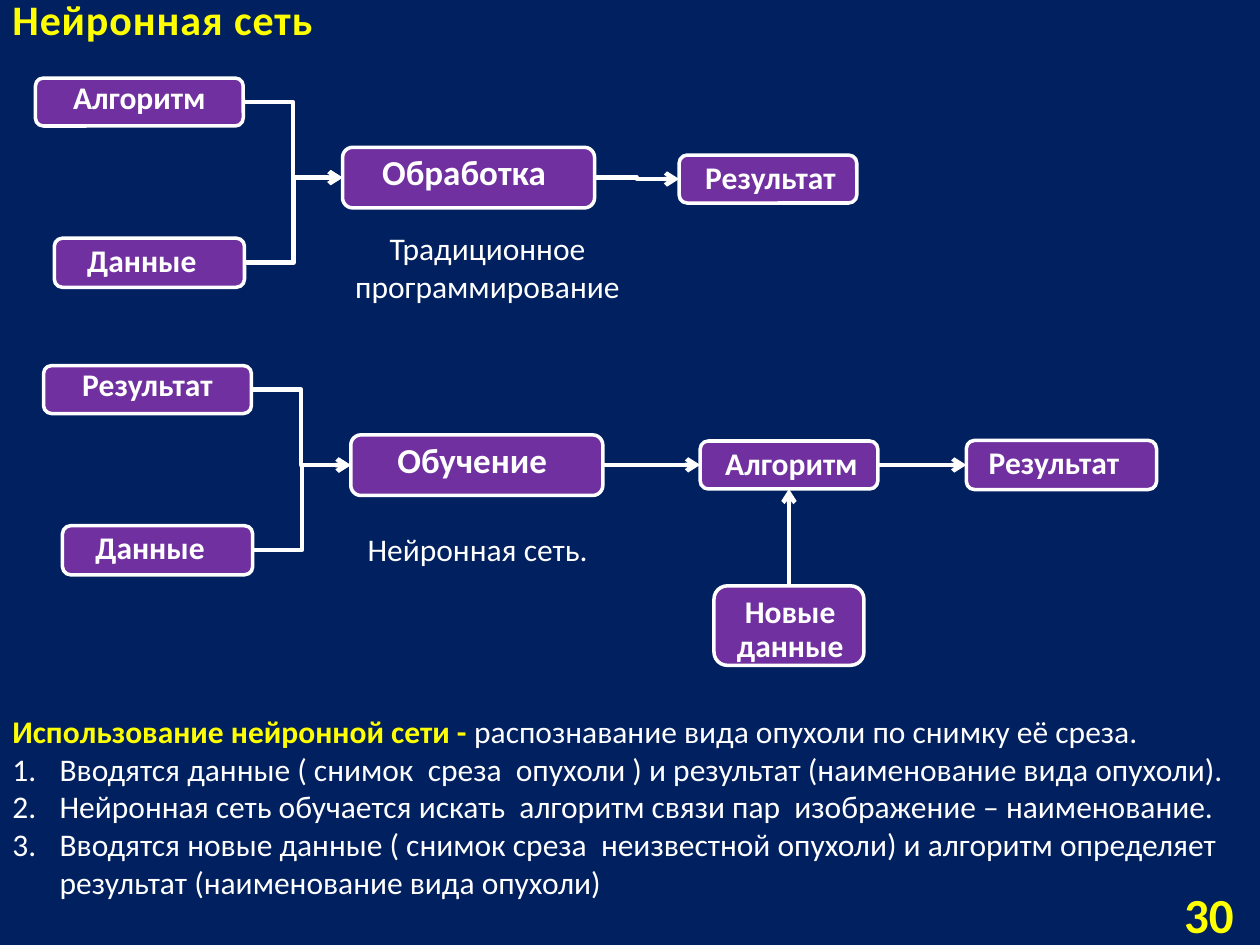
from pptx import Presentation
from pptx.dml.color import RGBColor
from pptx.enum.shapes import MSO_CONNECTOR, MSO_SHAPE
from pptx.enum.text import MSO_ANCHOR, PP_ALIGN
from pptx.oxml.ns import qn
from pptx.util import Pt
from lxml import etree

NAVY = RGBColor(0x00, 0x20, 0x60)
PURPLE = RGBColor(0x70, 0x30, 0xA0)
YELLOW = RGBColor(0xFF, 0xFF, 0x00)
WHITE = RGBColor(0xFF, 0xFF, 0xFF)

ROUNDED = MSO_SHAPE.ROUNDED_RECTANGLE
ELBOW, STRAIGHT = MSO_CONNECTOR.ELBOW, MSO_CONNECTOR.STRAIGHT
LEFT, CENTER, RIGHT = PP_ALIGN.LEFT, PP_ALIGN.CENTER, PP_ALIGN.RIGHT
TOP, MIDDLE, BOTTOM = MSO_ANCHOR.TOP, MSO_ANCHOR.MIDDLE, MSO_ANCHOR.BOTTOM
TOP_SIDE, LEFT_SIDE, BOTTOM_SIDE, RIGHT_SIDE = range(4)

BODY = {"name": "Calibri", "size": Pt(18), "bold": False}
STRONG = BODY | {"bold": True}

# Node kinds: (width, height), label (dx, dy, width, height), text size
PROCESS = (144, 34.6), (14, 9.7, 110.9, 11.5), 20
INPUT = (118.8, 27.4), (0, -1.4, 118.8, 26.6), 18
OUTPUT = (101.5, 27.4), (-4.3, 0, 113, 27.7), 18
DATA = (108.7, 28.1), (0, 5.4, 100.1, 16.6), 18
NEW_DATA = (85.7, 45.4), (4.3, 11.5, 78.5, 27.4), 18


class SlideBuilder:
    """Holds the style and the current slide."""

    def __init__(self, page):
        self.page = page
        page.background.fill.solid()
        page.background.fill.fore_color.rgb = NAVY

    def span(self, para, text, style, color):
        span = para.add_run()
        span.text = text
        for key, value in style.items():
            setattr(span.font, key, value)
        span.font.color.rgb = color
        return span

    def text_box(self, area, align=LEFT, anchor=TOP, shapes=None, inset=None):
        shapes = shapes or self.page.shapes
        frame = shapes.add_textbox(*map(Pt, area)).text_frame
        frame.word_wrap = True
        frame.vertical_anchor = anchor
        if inset is not None:
            for side in ("left", "top", "right", "bottom"):
                setattr(frame, f"margin_{side}", Pt(inset))
        frame.paragraphs[0].alignment = align
        return frame

    def text(self, area, text, style, color, align=LEFT, anchor=TOP):
        frame = self.text_box(area, align, anchor)
        return self.span(frame.paragraphs[0], text, style, color)

    def numbered(self, frame, text):
        para = frame.add_paragraph()
        props = para._p.get_or_add_pPr()
        props.set("marL", str(Pt(27)))
        props.set("indent", str(-Pt(27)))
        etree.SubElement(props, qn("a:buFont"), typeface="+mj-lt")
        etree.SubElement(props, qn("a:buAutoNum"), type="arabicPeriod")
        self.span(para, text, BODY, WHITE)

    def node(self, kind, left, top, text):
        size, (dx, dy, width, height), points = kind
        group = self.page.shapes.add_group_shape()
        box = group.shapes.add_shape(ROUNDED, *map(Pt, (left, top, *size)))
        box.shadow.inherit = False
        box.fill.solid()
        box.fill.fore_color.rgb = PURPLE
        box.line.color.rgb = WHITE
        box.line.width = Pt(2)
        label = (left + dx, top + dy, width, height)
        frame = self.text_box(label, CENTER, MIDDLE, group.shapes, 2.2)
        para = frame.paragraphs[0]
        para.line_spacing = 0.9
        for number, line in enumerate(text.split("\n")):
            if number:
                para.add_line_break()
            self.span(para, line, STRONG | {"size": Pt(points)}, WHITE)
        return box

    def arrow(self, start, end, kind=ELBOW, sides=(RIGHT_SIDE, LEFT_SIDE)):
        link = self.page.shapes.add_connector(kind, 0, 0, 0, 0)
        link.begin_connect(start, sides[0])
        link.end_connect(end, sides[1])
        link.line.color.rgb = WHITE
        link.line.width = Pt(2.5)
        etree.SubElement(link.line._get_or_add_ln(), qn("a:tailEnd"), type="arrow")
        etree.SubElement(link._element.spPr, qn("a:effectLst"))

    def flow(self, dx, dy, names, output_at):
        """Two inputs feeding a process with one output."""
        first, data, process, output = names
        first_box = self.node(INPUT, 20.2 + dx, 44.6 + dy, first)
        data_box = self.node(DATA, 31 + dx, 136.1 + dy, data)
        process_box = self.node(PROCESS, 195.8 + dx, 84.2 + dy, process)
        output_box = self.node(OUTPUT, *output_at, output)
        for source, target in ((first_box, process_box), (data_box, process_box),
                               (process_box, output_box)):
            self.arrow(source, target)
        return output_box


def main():
    deck = Presentation()
    deck.slide_width, deck.slide_height = Pt(720), Pt(540)
    slide = SlideBuilder(deck.slides.add_slide(deck.slide_layouts[6]))

    # Title and slide number
    title = slide.text((0, 0.7, 229.7, 28), "Нейронная сеть",
                       STRONG | {"size": Pt(24)}, YELLOW, anchor=BOTTOM)
    title._r.get_or_add_rPr().set("spc", "50")
    slide.text((632, 507.6, 80, 28.8), "30", STRONG | {"size": Pt(28)},
               YELLOW, RIGHT, MIDDLE)

    # Traditional programming
    slide.flow(0, 0, ("Алгоритм", "Данные", "Обработка", "Результат"), (388.1, 88.6))
    slide.text((195.8, 127.4, 165.6, 51.1), "Традиционное программирование",
               BODY, WHITE, CENTER)

    # Neural network
    algorithm = slide.flow(4.7, 164.3, ("Результат", "Данные", "Обучение", "Алгоритм"),
                           (400.1, 252))
    slide.text((203, 299.5, 141.8, 28.8), "Нейронная сеть.", BODY, WHITE)
    new_data = slide.node(NEW_DATA, 408, 334.8, "Новые\nданные")
    result = slide.node(DATA, 552.2, 251.65, "Результат")
    slide.arrow(new_data, algorithm, STRAIGHT, (TOP_SIDE, BOTTOM_SIDE))
    slide.arrow(algorithm, result, STRAIGHT)

    # Usage steps
    usage = slide.text_box((0, 403.2, 720, 116.6))
    intro = usage.paragraphs[0]
    slide.span(intro, "Использование нейронной сети - ", STRONG, YELLOW)
    slide.span(intro, "распознавание вида опухоли по снимку её среза.", BODY, WHITE)
    for step in (
        "Вводятся данные ( снимок  среза  опухоли ) и результат (наименование вида опухоли).",
        "Нейронная сеть обучается искать  алгоритм связи пар  изображение – наименование.",
        "Вводятся новые данные ( снимок среза  неизвестной опухоли) и алгоритм определяет "
        "результат (наименование вида опухоли)",
    ):
        slide.numbered(usage, step)

    deck.save("out.pptx")


if __name__ == "__main__":
    main()
